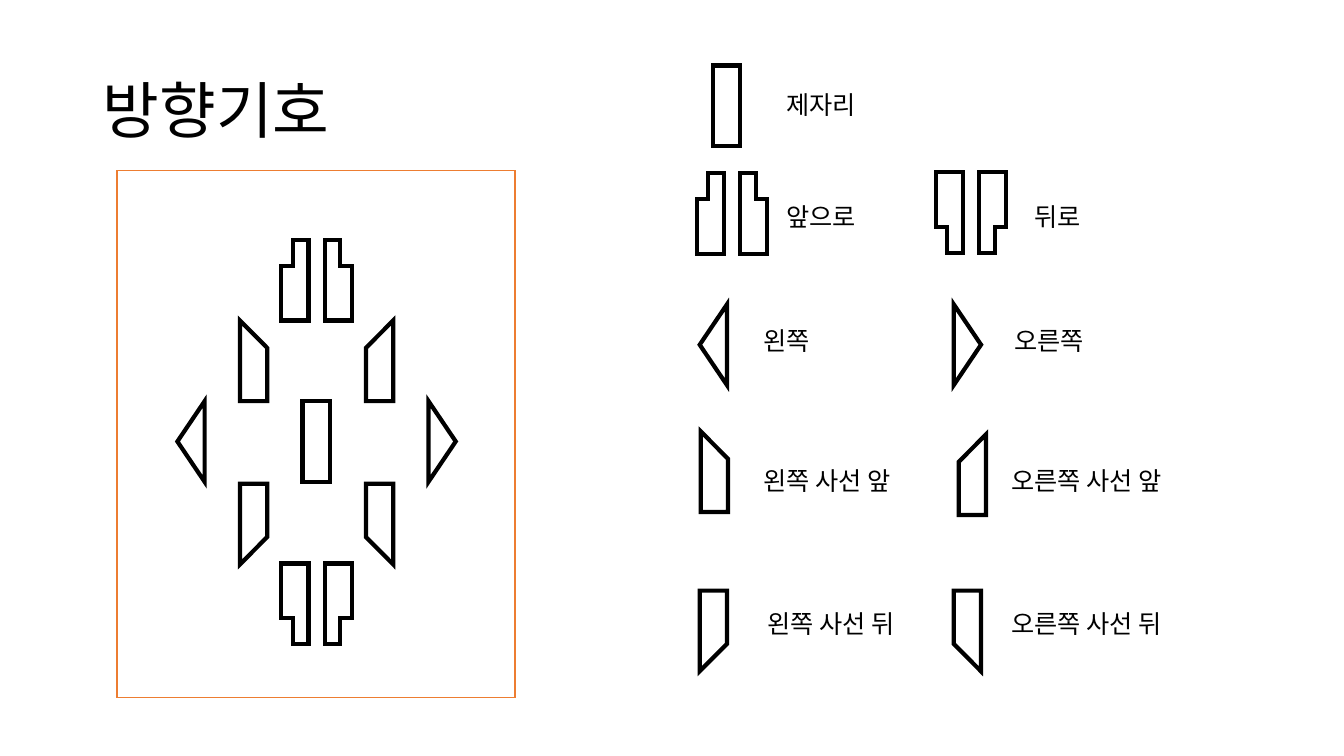
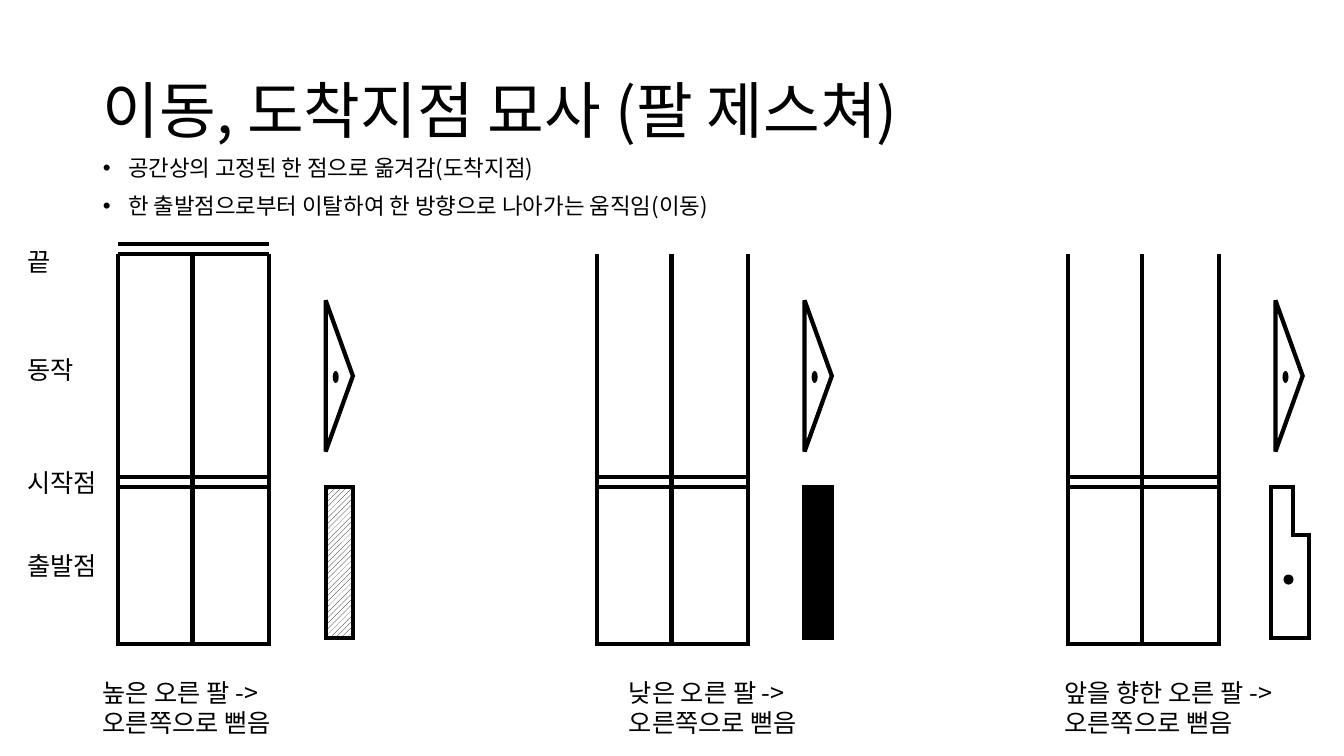
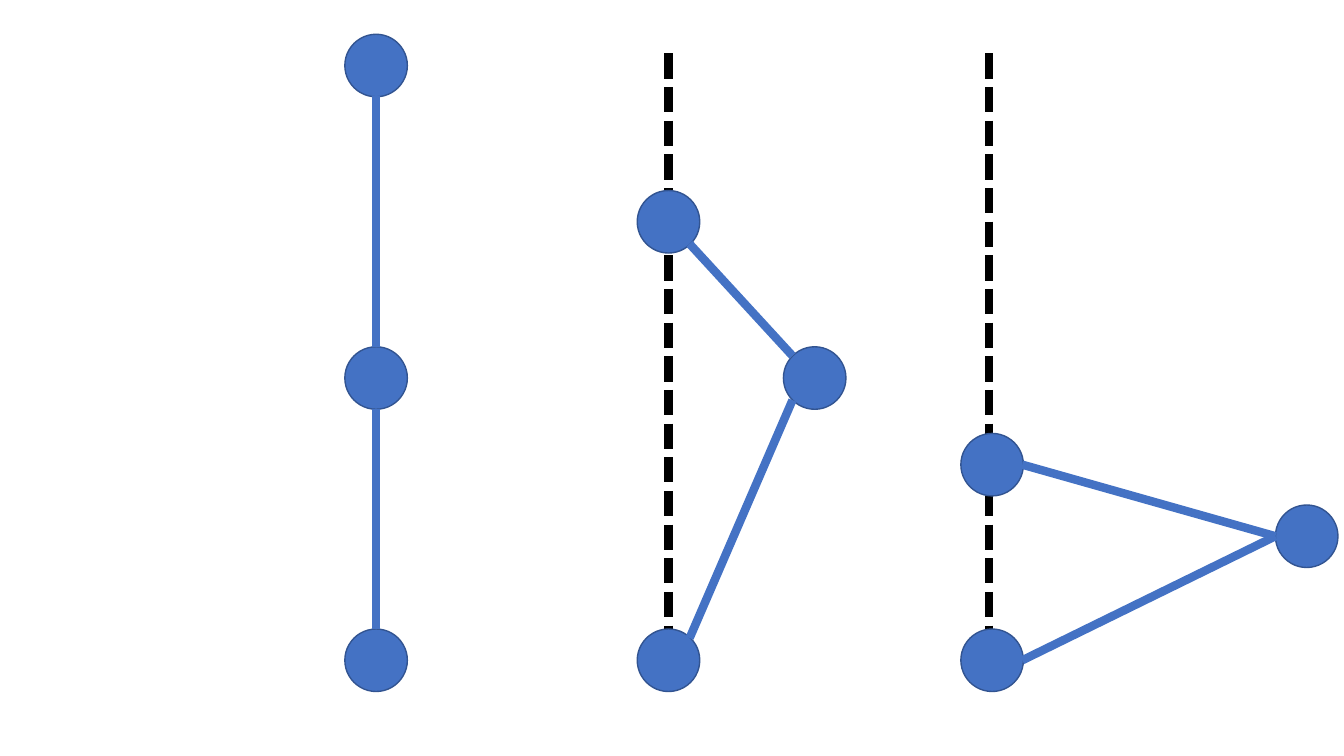
import pptx
import pptx.util
import pptx.dml.color
import pptx.enum.dml
import pptx.enum.shapes
import pptx.enum.text
import pptx.oxml.ns
import pptx.oxml.xmlchemy

Inches = pptx.util.Inches
Pt = pptx.util.Pt
KIND = pptx.enum.shapes.MSO_SHAPE
FIT = pptx.enum.text.MSO_AUTO_SIZE
qn = pptx.oxml.ns.qn

FONT = "Noto Sans CJK KR"
COLORS = {"ink": "000000", "paper": "FFFFFF", "frame": "ED7D31",
          "joint": "4472C4", "rim": "325491"}

SIGNS_TITLE = "방향기호"
FRAME = (1.16, 1.69, 3.95, 5.23)
SIGN_W, SIGN_H = 0.27, 0.8
OUTLINES = {
    "foot": [(0.42, 0), (1, 0), (1, 1), (0, 1), (0, 0.32), (0.42, 0.32)],
    "slant": [(0, 0), (1, 0.34), (1, 1), (0, 1)],
}
SIGNS = [
    ("foot", "", 2.79, 2.38), ("foot", "x", 3.22, 2.38),
    ("foot", "y", 2.79, 5.59), ("foot", "xy", 3.22, 5.59),
    ("slant", "", 2.38, 3.18), ("slant", "x", 3.63, 3.18),
    ("slant", "y", 2.38, 4.8), ("slant", "xy", 3.63, 4.8),
    ("left", "", 1.76, 3.98), ("right", "", 4.25, 3.98),
    ("place", "", 3, 3.98),
    ("place", "", 7.07, 0.65),
    ("foot", "", 6.91, 1.72), ("foot", "x", 7.34, 1.72),
    ("foot", "y", 9.28, 1.71), ("foot", "xy", 9.71, 1.71),
    ("left", "", 6.94, 3.02), ("right", "", 9.46, 3.02),
    ("slant", "", 6.95, 4.28), ("slant", "x", 9.51, 4.31),
    ("slant", "y", 6.94, 5.86), ("slant", "xy", 9.46, 5.86),
]
SIGN_LABELS = [
    ("제자리", 7.7, 0.84, 0.96),
    ("앞으로", 7.7, 1.95, 0.96), ("뒤로", 10.16, 1.95, 0.71),
    ("왼쪽", 7.47, 3.18, 0.71), ("오른쪽", 9.96, 3.18, 0.96),
    ("왼쪽 사선 앞", 7.47, 4.57, 1.64), ("오른쪽 사선 앞", 9.93, 4.57, 1.9),
    ("왼쪽 사선 뒤", 7.51, 5.99, 1.64), ("오른쪽 사선 뒤", 9.93, 5.99, 1.9),
]

MOVE_TITLE = "이동, 도착지점 묘사 (팔 제스쳐)"
MOVE_POINTS = ["공간상의 고정된 한 점으로 옮겨감(도착지점)",
               "한 출발점으로부터 이탈하여 한 방향으로 나아가는 움직임(이동)"]
STAGES = [("끝", 2.39, 0.45), ("동작", 3.47, 0.71),
          ("시작점", 4.59, 0.96), ("출발점", 5.41, 0.96)]
STAVES = [
    (1.17, "high", "높은 오른 팔 ->", 0.92, 2.1),
    (5.92, "low", "낮은 오른 팔 ->", 6.14, 2.1),
    (10.59, "front", "앞을 향한 오른 팔 ->", 10.46, 2.7),
]
REACH = "오른쪽으로 뻗음"
STAVE_W, STAVE_TOP, STAVE_END = 1.5, 2.52, 6.41
BARS = [4.73, 4.83, 6.39]
END_BARS = [2.42, 2.52]
POSTS = [0, 0.74, STAVE_W]

GUIDES = [6.63, 9.81]
JOINT = 0.62
POSES = [
    ([(3.42, 0.34), (3.42, 3.44), (3.42, 6.24)],
     [(3.73, 0.95, 3.73, 3.44), (3.73, 4.06, 3.73, 6.24)]),
    ([(6.32, 1.89), (7.77, 3.44), (6.32, 6.24)],
     [(6.84, 2.42, 7.86, 3.53), (7.86, 3.97, 6.84, 6.33)]),
    ([(9.53, 4.3), (12.65, 5.01), (9.53, 6.24)],
     [(10.14, 4.61, 12.65, 5.32), (12.65, 5.32, 10.14, 6.55)]),
]


def color(name):
    return pptx.dml.color.RGBColor.from_string(COLORS[name])


def node(tag, **attrs):
    item = pptx.oxml.xmlchemy.OxmlElement(tag)
    for key, value in attrs.items():
        item.set(key, value)
    return item


def paint(shape, fill="paper", line="ink", width=3):
    shape.shadow.inherit = False
    if fill:
        shape.fill.solid()
        shape.fill.fore_color.rgb = color(fill)
    else:
        shape.fill.background()
    if line:
        shape.line.color.rgb = color(line)
        shape.line.width = Pt(width)
        edge = shape.element.spPr.find(qn("a:ln"))
        edge.append(node("a:miter", lim="800000"))
    else:
        shape.line.fill.background()
    return shape


def block(slide, kind, x, y, w, h, **look):
    box = [Inches(v) for v in (x, y, w, h)]
    return paint(slide.shapes.add_shape(kind, *box), **look)


def arrow(slide, x, y, w, h, angle):
    left, top = x + (w - h) / 2, y + (h - w) / 2
    block(slide, KIND.ISOSCELES_TRIANGLE, left, top, h, w).rotation = angle


def outline(slide, name, flip, x, y, w, h):
    spots = [(Inches(x + w * (1 - u if "x" in flip else u)),
              Inches(y + h * (1 - v if "y" in flip else v)))
             for u, v in OUTLINES[name]]
    form = slide.shapes.build_freeform(*spots[0])
    form.add_line_segments(spots[1:], close=True)
    paint(form.convert_to_shape())


def line(slide, x1, y1, x2, y2, tone="ink", width=3, dash=None):
    ends = [Inches(v) for v in (x1, y1, x2, y2)]
    link = slide.shapes.add_connector(
        pptx.enum.shapes.MSO_CONNECTOR.STRAIGHT, *ends)
    link.line.color.rgb = color(tone)
    link.line.width = Pt(width)
    if dash:
        link.line.dash_style = dash
    link._element.spPr.append(node("a:effectLst"))


def write(para, text, size):
    run = para.add_run()
    run.text = text
    run.font.size = Pt(size)
    run.font.name = FONT
    run.font.color.rgb = color("ink")
    latin = run._r.get_or_add_rPr().find(qn("a:latin"))
    latin.addnext(node("a:ea", typeface=FONT))


def label(slide, lines, x, y, w, h=0.4):
    box = slide.shapes.add_textbox(Inches(x), Inches(y), Inches(w), Inches(h))
    frame = box.text_frame
    frame.word_wrap = False
    frame.auto_size = FIT.SHAPE_TO_FIT_TEXT
    for i, text in enumerate(lines):
        para = frame.add_paragraph() if i else frame.paragraphs[0]
        write(para, text, 18)


def place(shape, x, y, w, h):
    shape.left, shape.top = Inches(x), Inches(y)
    shape.width, shape.height = Inches(w), Inches(h)
    shape.text_frame.auto_size = FIT.NONE
    return shape.text_frame


def title(slide, text):
    frame = place(slide.shapes.title, 0.92, 0.4, 11.5, 1.45)
    frame.vertical_anchor = pptx.enum.text.MSO_ANCHOR.MIDDLE
    para = frame.paragraphs[0]
    para.alignment = pptx.enum.text.PP_ALIGN.LEFT
    para.line_spacing = 0.9
    write(para, text, 44)


def bullets(slide, items):
    frame = place(slide.placeholders[1], 0.92, 1.51, 11.5, 4.76)
    for i, text in enumerate(items):
        para = frame.add_paragraph() if i else frame.paragraphs[0]
        para.line_spacing = 0.9
        para.space_before = Pt(10 if i else 0)
        props = para._p.get_or_add_pPr()
        props.set("marL", str(Inches(0.25)))
        props.set("indent", str(-Inches(0.25)))
        props.append(node("a:buFont", typeface="Arial"))
        props.append(node("a:buChar", char="•"))
        write(para, text, 16)


def draw_signs(slide):
    title(slide, SIGNS_TITLE)
    block(slide, KIND.RECTANGLE, *FRAME, fill=None, line="frame", width=1)
    for name, flip, x, y in SIGNS:
        box = (x, y, SIGN_W, SIGN_H)
        if name in OUTLINES:
            outline(slide, name, flip, *box)
        elif name == "place":
            block(slide, KIND.RECTANGLE, *box)
        else:
            arrow(slide, *box, 270 if name == "left" else 90)
    for text, x, y, w in SIGN_LABELS:
        label(slide, [text], x, y, w)


def draw_start(slide, x, level):
    if level == "front":
        outline(slide, "foot", "x", x + 2.02, 4.83, 0.37, 1.5)
        block(slide, KIND.OVAL, x + 2.14, 5.7, 0.1, 0.1, fill="ink", line=None)
        return
    bar = block(slide, KIND.RECTANGLE, x + 2.06, 4.83, 0.27, 1.5, fill="ink")
    if level == "high":
        bar.fill.patterned()
        bar.fill.pattern = pptx.enum.dml.MSO_PATTERN.WIDE_UPWARD_DIAGONAL
        bar.fill.fore_color.rgb = color("ink")
        bar.fill.back_color.rgb = color("paper")


def draw_moves(slide):
    title(slide, MOVE_TITLE)
    bullets(slide, MOVE_POINTS)
    for x, level, text, left, w in STAVES:
        for y in BARS + (END_BARS if level == "high" else []):
            line(slide, x, y, x + STAVE_W, y)
        for post in POSTS:
            line(slide, x + post, STAVE_END, x + post, STAVE_TOP)
        draw_start(slide, x, level)
        arrow(slide, x + 2.06, 2.98, 0.27, 1.5, 90)
        block(slide, KIND.OVAL, x + 2.13, 3.68, 0.06, 0.12,
              fill="ink", line=None)
        label(slide, [text, REACH], left, 6.67, w, 0.71)
    for text, y, w in STAGES:
        label(slide, [text], 0.17, y, w)


def draw_poses(slide):
    for x in GUIDES:
        line(slide, x, 0.53, x, 6.55, width=6,
             dash=pptx.enum.dml.MSO_LINE.SQUARE_DOT)
    for joints, limbs in POSES:
        for x, y in joints:
            block(slide, KIND.OVAL, x, y, JOINT, JOINT,
                  fill="joint", line="rim", width=1)
        for limb in limbs:
            line(slide, *limb, tone="joint", width=6)


def main():
    deck = pptx.Presentation()
    deck.slide_width, deck.slide_height = Inches(13.33), Inches(7.5)
    for layout, draw in ((5, draw_signs), (1, draw_moves), (6, draw_poses)):
        draw(deck.slides.add_slide(deck.slide_layouts[layout]))
    deck.save("out.pptx")


if __name__ == "__main__":
    main()
